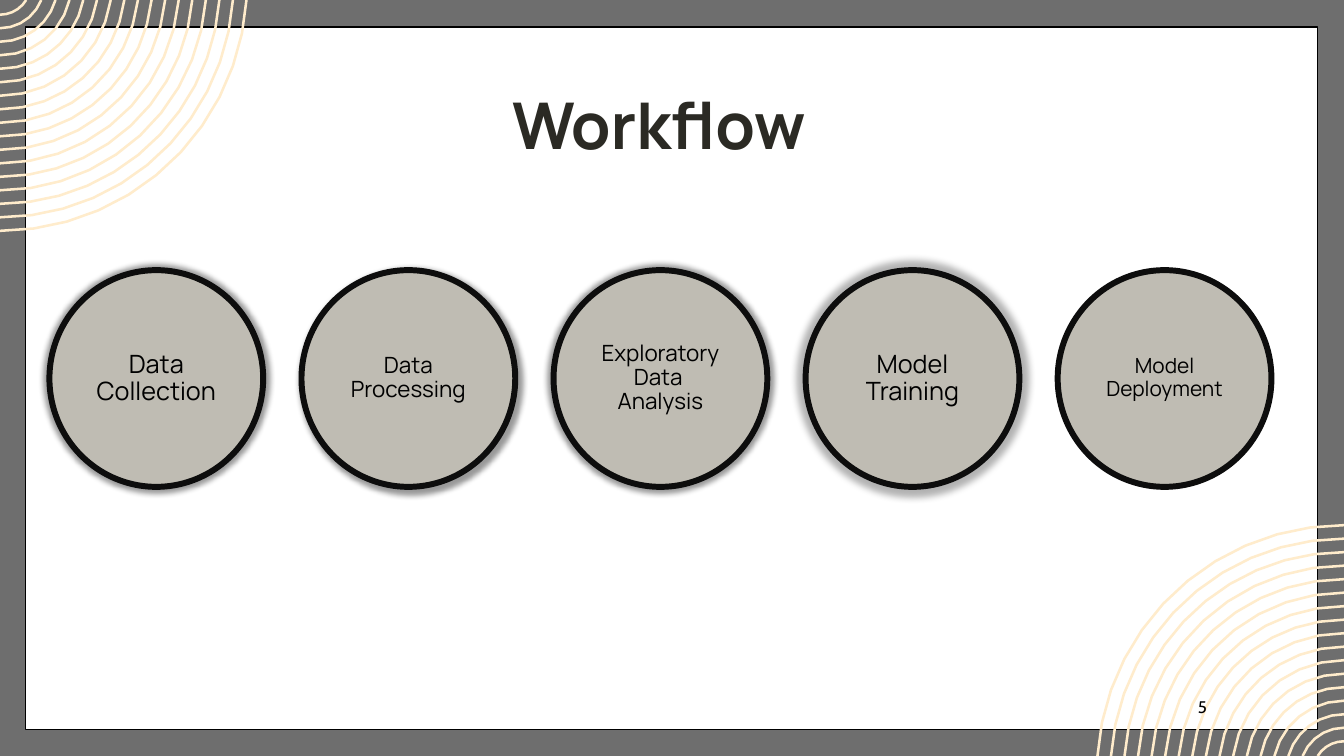
"""Build the Workflow slide: five stage circles in a framed page with ringed corners."""
import math
from dataclasses import dataclass

from lxml import etree
from pptx import Presentation
from pptx import util as u
from pptx.dml.color import RGBColor
from pptx.enum import shapes, text
from pptx.oxml.ns import qn


@dataclass(frozen=True)
class Theme:
    back: str = "6E6E6E"
    page: str = "FFFFFF"
    ink: str = "000000"
    ring: str = "FFECCC"
    disc: str = "BFBCB3"
    edge: str = "0D0D0D"
    title: str = "2B2A24"
    face: str = "Manrope"
    number_face: str = "Cabin"
    title_size: float = 46
    number_size: float = 12


T = Theme()
W, H = 13.33, 7.5
TITLE = "Workflow"
PAGE_NUMBER = "5"
HALO = dict(blur=4, dist=0, angle=0, alpha=40, scale=103)
DROP = dict(blur=4, dist=3, angle=45, alpha=40, scale=102)
WIDE_HALO = dict(blur=5, dist=0, angle=0, alpha=30, scale=106)
STAGES = [
    (["Data Collection"], 18, HALO),
    (["Data Processing"], 16, DROP),
    (["Exploratory Data ", "Analysis"], 16, HALO),
    (["Model Training"], 18, WIDE_HALO),
    (["Model", "Deployment"], 14.9, None),
]
STAGE_LEFT, STAGE_TOP, STAGE_STEP = 0.49, 2.68, 2.5
STAGE_W, STAGE_H = 2.12, 2.15
RINGS, RING_R, RING_STEP, RING_RISE, RING_PT = 17, 2.45, 0.134, 0.16, 1.8


def rgb(value):
    return RGBColor.from_string(value)


def box(left, top, width, height):
    return [u.Inches(v) for v in (left, top, width, height)]


def paint(sp, fill, line, weight):
    sp.shadow.inherit = False
    if fill:
        sp.fill.solid()
        sp.fill.fore_color.rgb = rgb(fill)
    else:
        sp.fill.background()
    sp.line.color.rgb = rgb(line)
    sp.line.width = u.Pt(weight)


def write(sp, lines, size, color, face, align, bold=False, spacing=1.0):
    tf = sp.text_frame
    tf.word_wrap = True
    tf.vertical_anchor = text.MSO_ANCHOR.MIDDLE
    for i, line in enumerate(lines):
        p = tf.add_paragraph() if i else tf.paragraphs[0]
        p.alignment = align
        p.line_spacing = spacing
        r = p.add_run()
        r.text = line
        r.font.size = u.Pt(size)
        r.font.name = face
        r.font.bold = bold
        r.font.color.rgb = rgb(color)


def cast_shadow(sp, blur, dist, angle, alpha, scale):
    effects = sp._element.spPr.find(qn("a:effectLst"))
    shadow = etree.SubElement(
        effects, qn("a:outerShdw"), blurRad=str(u.Pt(blur)), dist=str(u.Pt(dist)),
        dir=str(angle * 60000), sx=str(scale * 1000), sy=str(scale * 1000),
        algn="ctr", rotWithShape="0")
    color = etree.SubElement(shadow, qn("a:srgbClr"), val=T.ink)
    etree.SubElement(color, qn("a:alpha"), val=str(alpha * 1000))


def arc(radius):
    start = math.asin(RING_RISE / radius)
    steps = 4 + round(3 * radius)
    angles = [start + (math.pi / 2 - start) * i / steps for i in range(steps + 1)]
    return [(radius * math.cos(a), radius * math.sin(a) - RING_RISE) for a in angles]


def add_rings(s, place):
    builder = None
    for i in range(RINGS):
        curve = arc(RING_R - RING_STEP * i)
        points = [tuple(u.Inches(v) for v in place(x, y)) for x, y in curve]
        if builder is None:
            builder = s.shapes.build_freeform(*points[0])
        else:
            builder.move_to(*points[0])
        builder.add_line_segments(points[1:], close=False)
    paint(builder.convert_to_shape(), None, T.ring, RING_PT)


def main():
    prs = Presentation()
    prs.slide_width, prs.slide_height = u.Inches(W), u.Inches(H)
    s = prs.slides.add_slide(prs.slide_layouts[6])
    s.background.fill.solid()
    s.background.fill.fore_color.rgb = rgb(T.back)

    page = s.shapes.add_shape(shapes.MSO_SHAPE.RECTANGLE, *box(0.25, 0.27, 12.82, 6.97))
    paint(page, T.page, T.ink, 1)
    add_rings(s, lambda x, y: (x, y))
    add_rings(s, lambda x, y: (W - x, H - y))

    number = s.shapes.add_textbox(*box(10.2, 6.81, 1.87, 0.4))
    write(number, [PAGE_NUMBER], T.number_size, T.ink, T.number_face, text.PP_ALIGN.RIGHT)

    for i, (lines, size, shadow) in enumerate(STAGES):
        place = box(STAGE_LEFT + STAGE_STEP * i, STAGE_TOP, STAGE_W, STAGE_H)
        disc = s.shapes.add_shape(shapes.MSO_SHAPE.OVAL, *place)
        paint(disc, T.disc, T.edge, 4.25)
        if shadow:
            cast_shadow(disc, **shadow)
        write(disc, lines, size, T.ink, T.face, text.PP_ALIGN.CENTER, spacing=0.9)

    title = s.shapes.add_textbox(*box(4.98, 0.79, 3.28, 0.88))
    title.text_frame.margin_top = title.text_frame.margin_bottom = 0
    write(title, [TITLE], T.title_size, T.title, T.face, text.PP_ALIGN.LEFT, bold=True)

    prs.save("out.pptx")


if __name__ == "__main__":
    main()
